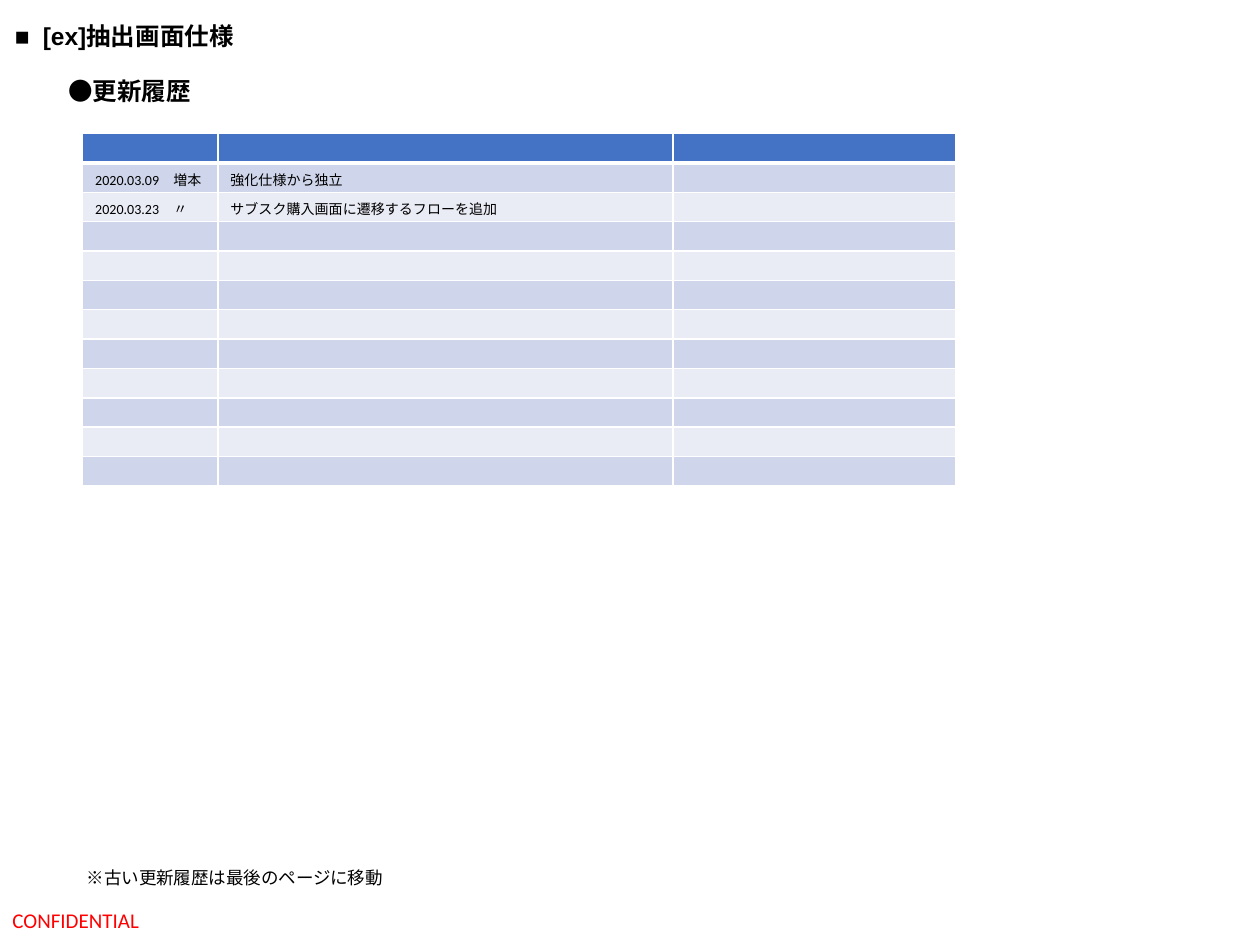
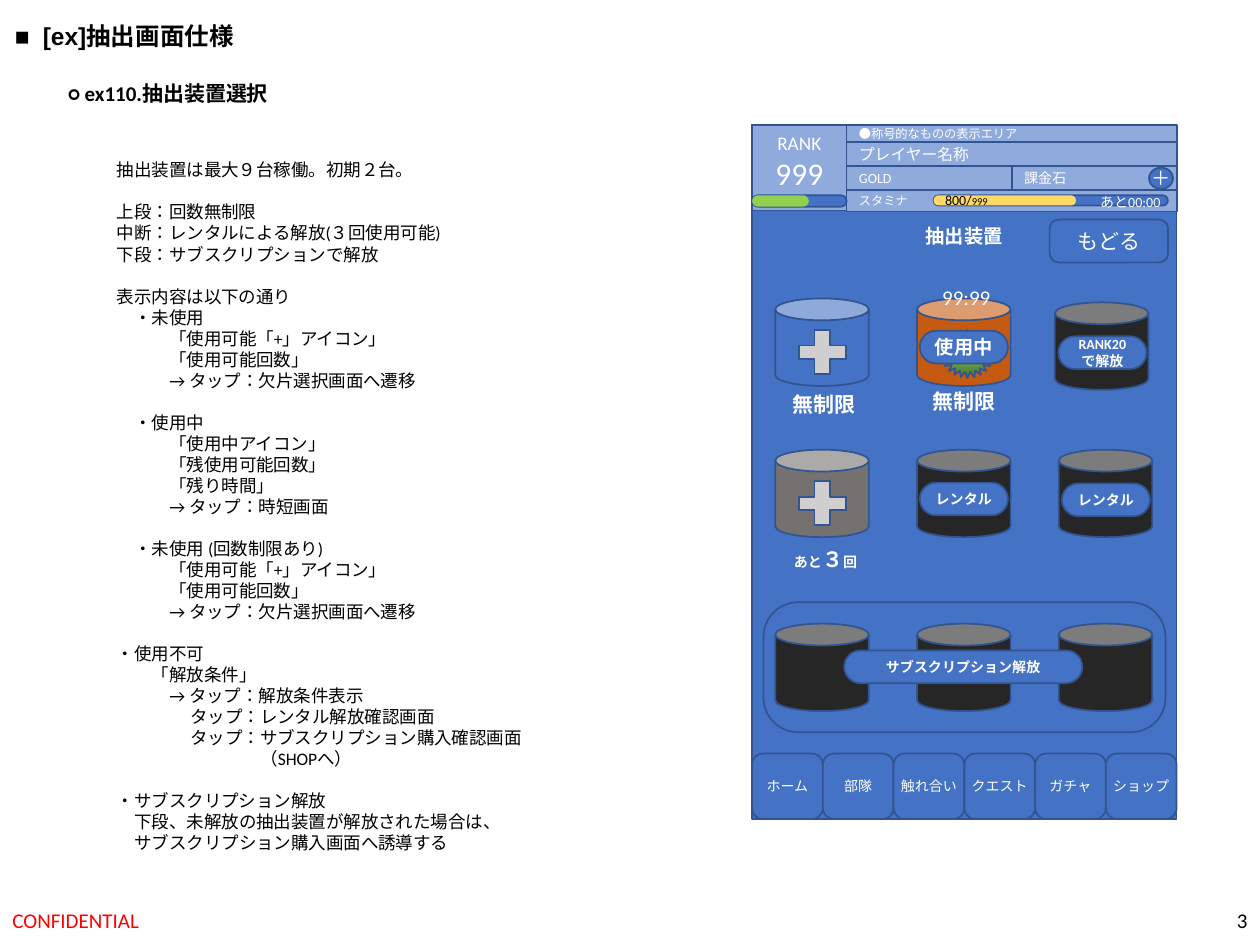
from copy import deepcopy

from lxml import etree
from pptx import Presentation
from pptx.dml.color import RGBColor
from pptx.enum.lang import MSO_LANGUAGE_ID
from pptx.enum.shapes import MSO_SHAPE
from pptx.enum.text import MSO_ANCHOR, PP_ALIGN
from pptx.oxml.ns import qn
from pptx.util import Pt

RECT, ROUND = MSO_SHAPE.RECTANGLE, MSO_SHAPE.ROUNDED_RECTANGLE
CAN, CROSS = MSO_SHAPE.CAN, MSO_SHAPE.CROSS
OVAL, STAR = MSO_SHAPE.OVAL, MSO_SHAPE.STAR_24_POINT
LEFT, CENTER, RIGHT = PP_ALIGN.LEFT, PP_ALIGN.CENTER, PP_ALIGN.RIGHT
TOP, MIDDLE = MSO_ANCHOR.TOP, MSO_ANCHOR.MIDDLE
JAPANESE = MSO_LANGUAGE_ID.JAPANESE

GOTHIC = "Noto Sans CJK JP"
BLACK, WHITE, RED = "000000", "FFFFFF", "FF0000"
BLUE, PALE, EDGE = "4472C4", "8FAADC", "325491"
LOCKED, LIMITED, BUSY, PLUS = "262626", "767171", "C55A11", "D0CECE"
BANDS = ["E9EBF5", "CFD5EA"]
rgb = RGBColor.from_string


def put(slide, kind, x, y, w, h, fill=None, line=None, adj=None):
    box = Pt(x), Pt(y), Pt(w), Pt(h)
    if kind is None:
        return slide.shapes.add_textbox(*box)
    sp = slide.shapes.add_shape(kind, *box)
    sp.shadow.inherit = False
    if fill:
        sp.fill.solid()
        sp.fill.fore_color.rgb = rgb(fill)
    else:
        sp.fill.background()
    if line:
        sp.line.color.rgb = rgb(line)
        sp.line.width = Pt(1)
    else:
        sp.line.fill.background()
    if adj is not None:
        sp.adjustments[0] = adj
    return sp


def write(tf, paras, size, color=WHITE, bold=False, align=CENTER,
          anchor=MIDDLE, wrap=False, font="Calibri", asian=None):
    tf.word_wrap = wrap
    tf.vertical_anchor = anchor
    for i, runs in enumerate(paras):
        p = tf.add_paragraph() if i else tf.paragraphs[0]
        p.alignment = align
        for text, run_size in [(runs, size)] if isinstance(runs, str) else runs:
            r = p.add_run()
            r.text = text
            r.font.size = Pt(run_size)
            r.font.bold = bold
            r.font.name = font
            r.font.color.rgb = rgb(color)
            r.font.language_id = JAPANESE
            etree.SubElement(r._r.get_or_add_rPr(), qn("a:ea"), typeface=asian or font)


prs = Presentation()
prs.slide_width, prs.slide_height = Pt(720), Pt(540)

slides = []
for heading, size, y, width, asian in [
    ("●更新履歴", 14, 40, 90, GOTHIC),
    ("○ ex110.抽出装置選択", 12, 42.5, 140, None),
]:
    s = prs.slides.add_slide(prs.slide_layouts[6])
    slides.append(s)
    tf = put(s, None, 1.4, 8.6, 149, 24.5).text_frame
    tabs = etree.SubElement(tf.paragraphs[0]._p.get_or_add_pPr(), qn("a:tabLst"))
    etree.SubElement(tabs, qn("a:tab"), pos=str(Pt(16)), algn="l")
    write(tf, ["■\t[ex]抽出画面仕様"], 14, BLACK, True, LEFT, TOP, True, "Arial")
    tf = put(s, None, 32, y, width, 24.5).text_frame
    write(tf, [heading], size, BLACK, True, LEFT, TOP, True, asian=asian)
    tf = put(s, None, 0, 511.2, 243.4, 28.8).text_frame
    write(tf, ["CONFIDENTIAL"], 12, RED, align=LEFT, wrap=True)
history, selection = slides

ROWS = 12
HISTORY = {
    (1, 0): "2020.03.09　増本",
    (1, 1): "強化仕様から独立",
    (2, 0): "2020.03.23　〃",
    (2, 1): "サブスク購入画面に遷移するフローを追加",
}
table = history.shapes.add_table(ROWS, 3, Pt(47.2), Pt(76.3), Pt(499), Pt(201.6)).table
for col, width in zip(table.columns, [77.3, 260, 161.7]):
    col.width = Pt(width)
for i, row in enumerate(table.rows):
    row.height = Pt(16.8)
    for j, cell in enumerate(row.cells):
        tc_pr = cell._tc.get_or_add_tcPr()
        for side in "LRTB":
            thick = (i, side) in [(0, "B"), (1, "T")]
            ln = etree.SubElement(tc_pr, qn("a:ln" + side), w=str(Pt(3 if thick else 1)))
            solid = etree.SubElement(ln, qn("a:solidFill"))
            etree.SubElement(solid, qn("a:srgbClr"), val=WHITE)
        cell.fill.solid()
        cell.fill.fore_color.rgb = rgb(BANDS[i % 2] if i else BLUE)
        cell.margin_right = Pt(3.6)
        cell.margin_top, cell.margin_bottom = Pt(5), Pt(2)
        if (i, j) in HISTORY:
            write(cell.text_frame, [HISTORY[i, j]], 8, BLACK, align=LEFT, anchor=TOP, wrap=True)
        else:
            etree.SubElement(cell.text_frame.paragraphs[0]._p, qn("a:endParaRPr"), sz="800")

tf = put(history, None, 42.5, 491.8, 186.5, 19.4).text_frame
write(tf, ["※古い更新履歴は最後のページに移動"], 10, BLACK, align=LEFT, anchor=TOP)

tf = put(selection, None, 558, 511.2, 162, 28.8).text_frame
write(tf, ["3"], 12, BLACK, align=RIGHT, wrap=True)

DESCRIPTION = [
    [(10, "抽出装置は最大９台稼働。初期２台。")],
    [(10, "上段：回数無制限"),
     (10, "中断：レンタルによる解放(３回使用可能)"),
     (10, "下段：サブスクリプションで解放")],
    [(10, "表示内容は以下の通り"),
     (20, "・未使用"),
     (40, "「使用可能「+」アイコン」"),
     (40, "「使用可能回数」"),
     (40, "→ タップ：欠片選択画面へ遷移")],
    [(20, "・使用中"),
     (40, "「使用中アイコン」"),
     (40, "「残使用可能回数」"),
     (40, "「残り時間」"),
     (40, "→ タップ：時短画面")],
    [(20, "・未使用 (回数制限あり)"),
     (40, "「使用可能「+」アイコン」"),
     (40, "「使用可能回数」"),
     (40, "→ タップ：欠片選択画面へ遷移")],
    [(10, "・使用不可"),
     (30, "「解放条件」"),
     (40, "→ タップ：解放条件表示"),
     (52, "タップ：レンタル解放確認画面"),
     (52, "タップ：サブスクリプション購入確認画面"),
     (92, "（SHOPへ）")],
    [(10, "・サブスクリプション解放"),
     (20, "下段、未解放の抽出装置が解放された場合は、"),
     (20, "サブスクリプション購入画面へ誘導する")],
]
lines = [line for block in DESCRIPTION for line in block]
starts = [block[0] for block in DESCRIPTION[1:]]
tf = put(selection, None, 49.7, 87.6, 262, 407).text_frame
write(tf, [text for _, text in lines], 10, BLACK, align=LEFT, anchor=TOP, wrap=True)
for p, line in zip(tf.paragraphs, lines):
    p._p.get_or_add_pPr().set("marL", str(Pt(line[0])))
    if any(line is start for start in starts):
        p.space_before = Pt(12)

X, Y, W, H = 429.8, 71.3, 242.6, 396.7
phone = put(selection, RECT, X, Y, W, H, BLUE, EDGE)
phone.text_frame.margin_top = Pt(56.7)
write(phone.text_frame, ["抽出装置"], 11, bold=True, anchor=TOP, wrap=True, font=GOTHIC)

rank = put(selection, RECT, X, Y, 54, 49, PALE, EDGE)
write(rank.text_frame, ["RANK", [("999", 18)]], 11, anchor=TOP, wrap=True)
for x, y, w, h, text, size in [
    (483.8, Y, 188.8, 10.1, "●称号的なものの表示エリア", 7),
    (483.8, 81.4, 188.8, 13.7, "プレイヤー名称", 9),
    (483.8, 95, 94.4, 13.7, "GOLD", 8),
    (578.2, 95, 94.4, 13.7, "課金石", 8),
    (483.8, 108.7, 188.8, 12.2, "スタミナ", 7),
]:
    sp = put(selection, RECT, x, y, w, h, PALE, EDGE)
    write(sp.text_frame, [text], size, align=LEFT, wrap=True,
          asian=GOTHIC if "●" in text else None)
sp = put(selection, OVAL, 656.6, 95.8, 13.7, 12.2, BLUE, EDGE)
write(sp.text_frame, ["＋"], 11)

for x, w, h, filled, color in [(X, 54, 6.5, 32.4, "92D050"), (533.5, 133.9, 5.8, 81.4, "FFD966")]:
    put(selection, ROUND, x, 111.6, w, h, BLUE, EDGE, 0.5)
    put(selection, ROUND, x, 111.6, filled, h, color, adj=0.5)

CANS = [
    (443, 170.6, BLUE), (524, 170.6, BUSY), (602.8, 172.8, LOCKED),
    (443, 257, LIMITED), (524, 257, LOCKED), (605, 257, LOCKED),
    (443, 356.4, LOCKED), (524, 356.4, LOCKED), (605, 356.4, LOCKED),
]
for x, y, color in CANS:
    put(selection, CAN, x, y, 53.5, 50, color, EDGE)
    if color in (BLUE, LIMITED):
        put(selection, CROSS, x + 13.7, y + 18, 26.6, 25.2, PLUS, EDGE, 0.35)

star = put(selection, STAR, 537.8, 188.6, 30.2, 27.4, BLUE, EDGE)
star.fill.gradient()
star.fill.gradient_angle = 90
stops = star._element.spPr.find(qn("a:gradFill")).find(qn("a:gsLst"))
middle = deepcopy(stops[0])
middle.set("pos", "48000")
stops.insert(1, middle)
for stop, color in zip(star.fill.gradient_stops, ["4B7430", "74B349", "A9D18E"]):
    stop.color.rgb = rgb(color)

put(selection, ROUND, 436.3, 344.2, 229.7, 74.2, None, EDGE, 0.265)
BUTTONS = [
    (525.6, 189, 50.4, 18.7, 0.5, ["使用中"], 11, True),
    (604.8, 192.2, 50.4, 18.7, 0.5, ["RANK20", "で解放"], 8, True),
    (525.6, 275.8, 50.4, 18.7, 0.5, ["レンタル"], 8, True),
    (606.8, 276.3, 50.4, 18.7, 0.5, ["レンタル"], 8, True),
    (482.4, 371.7, 136.1, 18.7, 0.5, ["サブスクリプション解放"], 8, True),
    (599.8, 125.5, 67.7, 24.5, 0.205, ["もどる"], 12, False),
]
TABS = ["ホーム", "部隊", "触れ合い", "クエスト", "ガチャ", "ショップ"]
tab_w = W / len(TABS)
for i, name in enumerate(TABS):
    BUTTONS.append((X + i * tab_w, 430.6, tab_w, 37.4, 0.167, [name], 8, False))
for x, y, w, h, adj, paras, size, bold in BUTTONS:
    sp = put(selection, ROUND, x, y, w, h, BLUE, EDGE, adj)
    write(sp.text_frame, paras, size, bold=bold)

for x, y, w, h, runs, color, bold in [
    (532.1, 108, 40.3, 12.2, [("800/", 8), ("999", 6)], BLACK, False),
    (623.7, 109.4, 44.3, 12.2, [("あと00:00", 8)], WHITE, False),
    (527, 157.7, 50.4, 24.5, [("99:99", 12)], WHITE, False),
    (525.6, 217, 51, 24.5, [("無制限", 12)], WHITE, True),
    (445.2, 218.6, 51, 24.5, [("無制限", 12)], WHITE, True),
    (446.2, 307.4, 51, 24.5, [("あと", 8), ("３", 12), ("回", 8)], WHITE, True),
]:
    tf = put(selection, None, x, y, w, h).text_frame
    tf.margin_left = tf.margin_right = 0
    write(tf, [runs], 8, color, bold)

prs.save("out.pptx")
